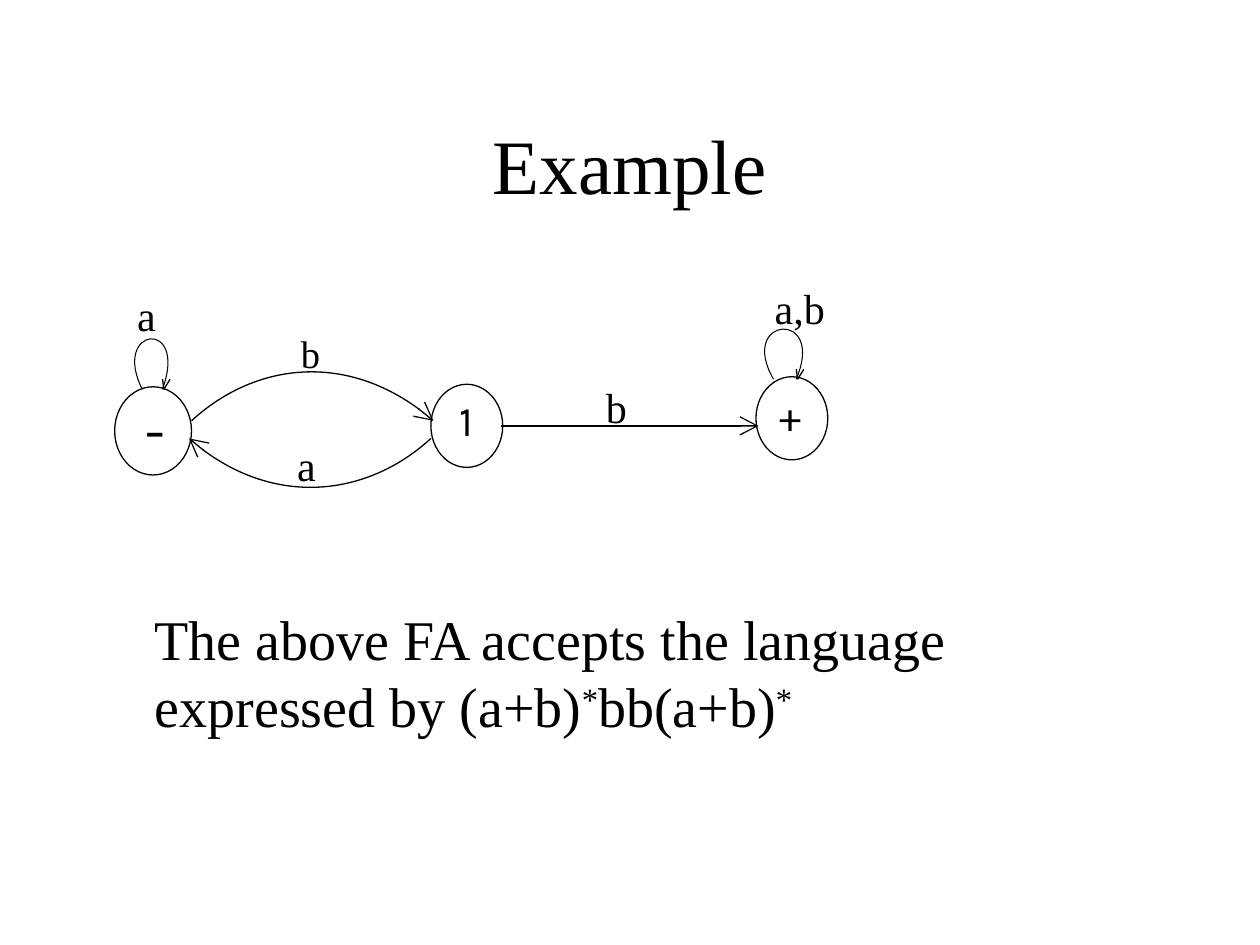
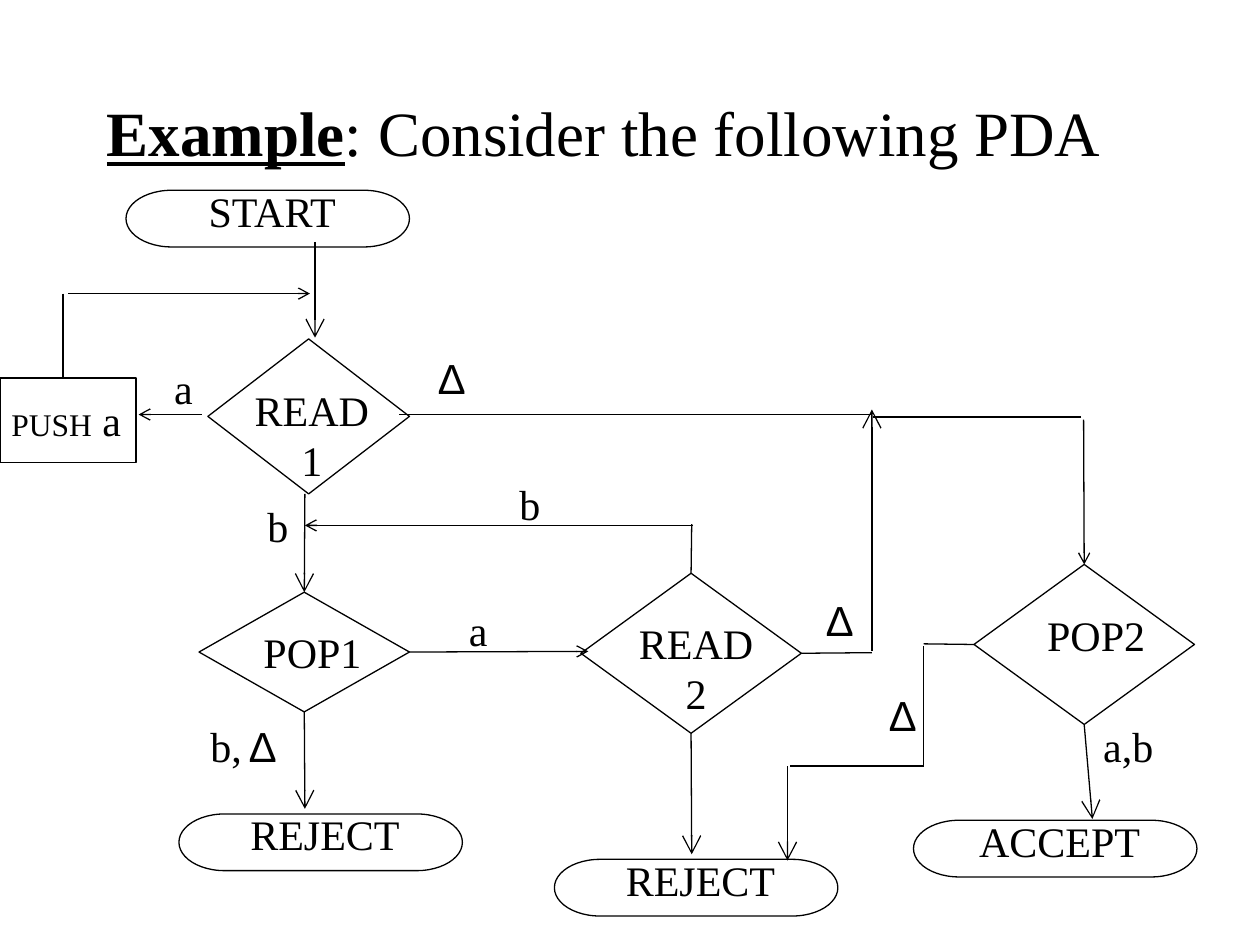
import math
import pptx
import pptx.util
import pptx.dml.color
import pptx.enum.shapes
import pptx.enum.text
import pptx.oxml.ns
import lxml.etree
from dataclasses import dataclass

Inches = pptx.util.Inches
Kind = pptx.enum.shapes.MSO_SHAPE
Align = pptx.enum.text.PP_ALIGN
Fit = pptx.enum.text.MSO_AUTO_SIZE
qn = pptx.oxml.ns.qn


@dataclass(frozen=True)
class Theme:
    ink: str = "000000"
    paper: str = "FFFFFF"
    serif: str = "Times New Roman"
    sans: str = "Arial"
    sign: str = "Karla"
    title: int = 44
    head: int = 36
    body: int = 32
    label: int = 24
    mid: int = 22
    small: int = 18
    line: float = 0.75
    thin: float = 0.6


T = Theme()

STATES = [
    ((0.91, 3.07, 0.61, 0.7), "-", (1.06, 3.09), T.body),
    ((3.42, 3.05, 0.57, 0.66), "1", (3.55, 3.08), T.label),
    ((6, 2.99, 0.57, 0.66), "+", (6.09, 3.04), T.label),
]
ARCS = [
    [(3.42, 3.48), (2.93, 3.93), (2.13, 4.04), (1.5, 3.48)],
    [(1.52, 3.34), (2.01, 2.89), (2.8, 2.78), (3.44, 3.34)],
]
LOOPS = [
    ((1.18, 2.8), [(1.13, 3.09), (0.88, 2.59), (1.5, 2.52), (1.29, 3.09)]),
    ((6.18, 2.72), [(6.14, 3.01), (5.85, 2.51), (6.56, 2.45), (6.32, 3.01)]),
]
TILT = 5
BARBS = [(0, -0.08), (0.06, -0.08)]
EDGES = [
    ("a", 2.26, 3.44, T.label),
    ("b", 2.29, 2.57, T.mid),
    ("a", 0.99, 2.25, T.label),
    ("b", 4.71, 2.98, T.label),
    ("a,b", 6.05, 2.19, T.label),
]
CLAIM = [
    ("The above FA accepts the language expressed by (a+b)", {}),
    ("*", {"base": 30}),
    ("bb(a+b)", {}),
    ("*", {"base": 30}),
]

ENDS = [("START", 1, 1.51), ("REJECT", 4.4, 6.82),
        ("REJECT", 1.42, 6.46), ("ACCEPT", 7.25, 6.51)]
TESTS = {
    "READ1": ((1.65, 2.69, 1.6, 1.23), (1.84, 3, 1.27, 0.5)),
    "READ2": ((4.61, 4.55, 1.75, 1.27), (4.89, 4.85, 1.27, 0.5)),
    "POP1": ((1.58, 4.7, 1.67, 0.95), (1.99, 4.92, 0.98, 0.5)),
    "POP2": ((7.73, 4.48, 1.75, 1.27), (8.21, 4.79, 0.98, 0.5)),
}
PUSH = (0, 3, 1.08, 0.67)
TOP, LEFT, BASE, RIGHT = range(4)
FLOWS = [
    ((2.5, 1.92), (2.5, 2.68), "lg"),
    ((1.6, 3.29), (1.1, 3.29), "med"),
    ((0.5, 2.33), (0.5, 3), None),
    ((0.54, 2.33), (2.46, 2.33), "med"),
    ((2.42, 3.92), ("POP1", TOP), "lg"),
    ((6.91, 3.29), (3.17, 3.29), None),
    ((8.58, 3.31), (6.93, 3.31), None),
    ((8.6, 3.33), ("POP2", TOP), "med"),
    ((5.49, 4.16), ("READ2", TOP), None),
    ((5.5, 4.17), (2.42, 4.17), "med"),
    (("POP1", RIGHT), (4.67, 5.17), "med"),
    (("POP1", BASE), (2.42, 6.42), "lg"),
    (("READ2", BASE), (5.49, 6.78), "lg"),
    (("READ2", RIGHT), (6.92, 5.18), None),
    ((6.92, 5.17), (6.92, 3.25), "lg"),
    (("POP2", LEFT), (7.33, 5.11), None),
    ((7.33, 5.13), (7.33, 6.08), None),
    ((7.33, 6.08), (6.27, 6.08), None),
    ((6.25, 6.08), (6.25, 6.83), "lg"),
    (("POP2", BASE), (8.67, 6.5), "lg"),
]
MARKS = [
    ("a", 1.08, 2.83), ("b", 1.83, 3.92), ("b", 3.83, 3.75),
    ("a", 3.42, 4.75), ("b,", 1.42, 5.67), ("a,b", 8.58, 5.67),
    ("∆", 3.21, 2.75), ("∆", 1.71, 5.67), ("∆", 6.29, 4.67),
    ("∆", 6.79, 5.42),
]


def tint(text):
    return pptx.dml.color.RGBColor.from_string(text)


def write(slide, box, runs, size, font=T.serif, align=Align.LEFT, mid=False):
    frame = slide.shapes.add_textbox(*map(Inches, box)).text_frame
    frame.word_wrap = align == Align.LEFT or mid
    if mid:
        frame.vertical_anchor = pptx.enum.text.MSO_ANCHOR.MIDDLE
    elif align == Align.CENTER:
        frame.auto_size = Fit.SHAPE_TO_FIT_TEXT
    para = frame.paragraphs[0]
    para.alignment = align
    for text, style in [(runs, {})] if isinstance(runs, str) else runs:
        run = para.add_run()
        run.text = text
        run.font.name = font
        run.font.size = pptx.util.Pt(style.get("size", size))
        run.font.color.rgb = tint(T.ink)
        run.font.bold = run.font.underline = style.get("strong", False)
        if "base" in style:
            run.font._element.set("baseline", str(style["base"] * 1000))


def stroke(shape, tip=None, width=T.line):
    shape.line.color.rgb = tint(T.ink)
    shape.line.width = pptx.util.Pt(width)
    if tip:
        lxml.etree.SubElement(shape.line._get_or_add_ln(), qn("a:tailEnd"),
                              type="arrow", w=tip, len=tip)


def draw(slide, kind, box, fill=None):
    shape = slide.shapes.add_shape(kind, *map(Inches, box))
    shape.shadow.inherit = False
    if fill:
        shape.fill.solid()
        shape.fill.fore_color.rgb = tint(fill)
    else:
        shape.fill.background()
    stroke(shape)
    return shape


def trace(slide, points, tip=None, width=T.line):
    spots = [(Inches(x), Inches(y)) for x, y in points]
    pen = slide.shapes.build_freeform(*spots[0])
    pen.add_line_segments(spots[1:], close=False)
    shape = pen.convert_to_shape()
    shape.shadow.inherit = False
    shape.fill.background()
    stroke(shape, tip, width)
    return shape


def bend(shape):
    legs = list(shape._element.iter(qn("a:lnTo")))
    curve = lxml.etree.SubElement(legs[0].getparent(), qn("a:cubicBezTo"))
    for leg in legs:
        curve.append(leg[0])
        leg.getparent().remove(leg)
    return shape


def turn(spot, hub, angle):
    x, y = spot[0] - hub[0], spot[1] - hub[1]
    c, s = math.cos(math.radians(angle)), math.sin(math.radians(angle))
    return hub[0] + x * c - y * s, hub[1] + x * s + y * c


def link(slide, start, end, tip, nodes=None):
    spots = [(0, 0) if isinstance(s[0], str) else s for s in (start, end)]
    wire = slide.shapes.add_connector(
        pptx.enum.shapes.MSO_CONNECTOR.STRAIGHT,
        *[Inches(n) for spot in spots for n in spot])
    for spot, join in ((start, wire.begin_connect), (end, wire.end_connect)):
        if isinstance(spot[0], str):
            join(nodes[spot[0]], spot[1])
    stroke(wire, tip)
    lxml.etree.SubElement(wire._element.spPr, qn("a:effectLst"))


def finite(slide):
    write(slide, (0.75, 0.67, 8.5, 1.25), "Example", T.title,
          align=Align.CENTER, mid=True)
    write(slide, (1.13, 4.75, 8.12, 1.3), CLAIM, T.body)
    for box, sign, spot, size in STATES:
        draw(slide, Kind.OVAL, box, T.paper)
        write(slide, (*spot, 0.36, 0.4), sign, size, T.sign)
    for knots in ARCS:
        bend(trace(slide, knots, "lg"))
    for hub, knots in LOOPS:
        flat = [turn(knot, hub, -TILT) for knot in knots]
        bend(trace(slide, flat, width=T.thin)).rotation = TILT
        x, y = knots[-1]
        for dx, dy in BARBS:
            trace(slide, [(x + 0.01, y), (x + dx, y + dy)])
    link(slide, (3.98, 3.38), (6.02, 3.38), "lg")
    for text, x, y, size in EDGES:
        write(slide, (x, y, 0.95, 0.52), text, size)


def stack(slide):
    write(slide, (0.75, 0.42, 8.5, 1.25),
          [("Example", {"strong": True}), (": Consider the following PDA", {})],
          T.head, mid=True)
    nodes = {"PUSH": draw(slide, Kind.RECTANGLE, PUSH)}
    write(slide, (-0.01, 3.08, 1.07, 0.5),
          [("PUSH", {"size": T.small}), (" a", {})], T.label, align=Align.CENTER)
    for text, x, y in ENDS:
        draw(slide, Kind.FLOWCHART_TERMINATOR, (x, y, 2.25, 0.45))
        write(slide, (x + 0.41, y - 0.09, 1.5, 0.5), text, T.label,
              align=Align.CENTER)
    for name, (box, spot) in TESTS.items():
        nodes[name] = draw(slide, Kind.FLOWCHART_DECISION, box)
        write(slide, spot, name, T.label, align=Align.CENTER)
    for start, end, tip in FLOWS:
        link(slide, start, end, tip, nodes)
    for text, x, y in MARKS:
        write(slide, (x, y, 0.75, 0.5), text, T.label,
              T.sans if text == "∆" else T.serif, Align.CENTER)


def main():
    deck = pptx.Presentation()
    deck.slide_width, deck.slide_height = Inches(10), Inches(7.5)
    for build in (finite, stack):
        build(deck.slides.add_slide(deck.slide_layouts[6]))
    deck.save("out.pptx")


if __name__ == "__main__":
    main()
